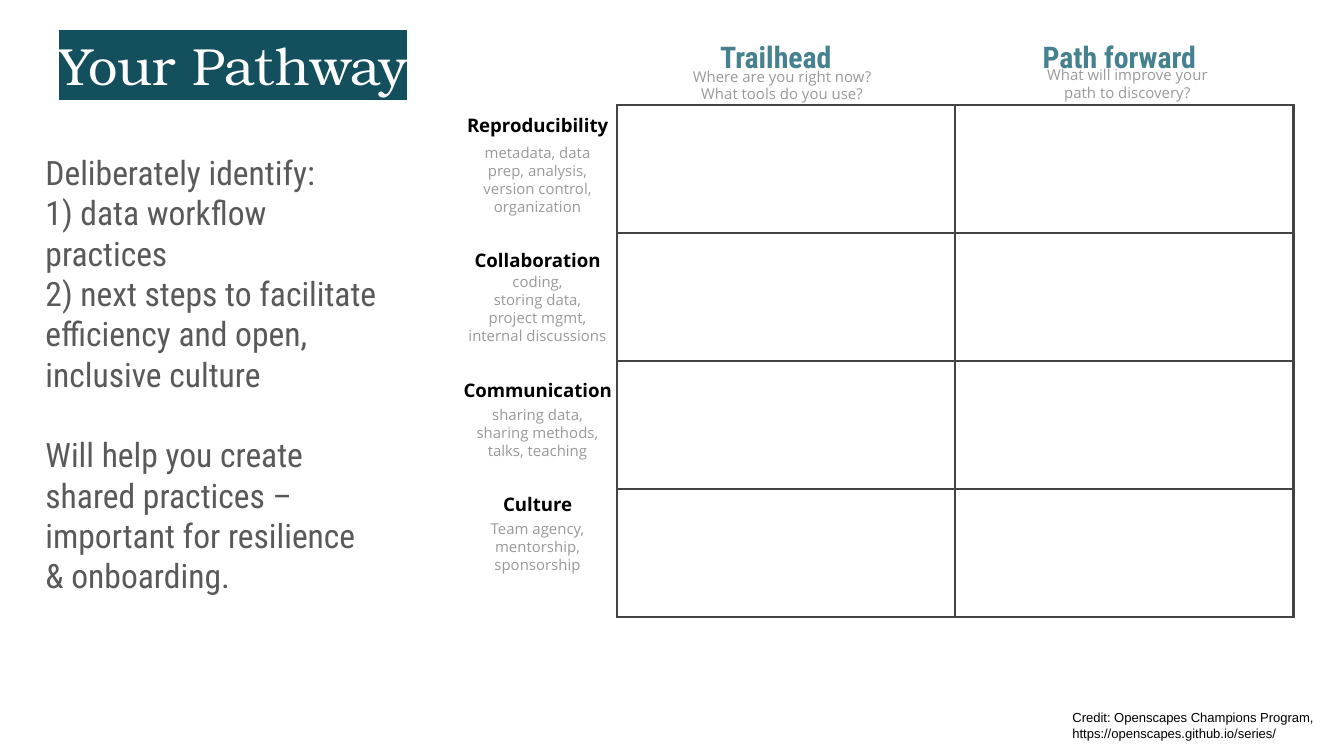
from lxml.etree import SubElement
from pptx import Presentation
from pptx.dml.color import RGBColor
from pptx.enum.text import MSO_ANCHOR, MSO_AUTO_SIZE, PP_ALIGN as Align
from pptx.oxml.ns import qn
from pptx.util import Pt

TEAL = RGBColor(0x13, 0x4F, 0x5C)
HEADING = RGBColor(0x45, 0x81, 0x8E)
BODY = RGBColor(0x59, 0x59, 0x59)
HINT = RGBColor(0x99, 0x99, 0x99)
BORDER = RGBColor(0x43, 0x43, 0x43)
BLACK = RGBColor(0, 0, 0)
WHITE = RGBColor(0xFF, 0xFF, 0xFF)

INTRODUCTION = [
    "Deliberately identify:",
    "1) data workflow practices",
    "2) next steps to facilitate efficiency and open, inclusive culture",
    "Will help you create shared practices – important for resilience & onboarding.",
]
COLUMNS = [
    ("Trailhead", (378.7, 13.7, 81, 38),
     "Where are you right now? What tools do you use?", (363.6, 28.8, 110.9, 20)),
    ("Path forward", (551.5, 13.7, 111, 38),
     "What will improve your path to discovery?", (548.6, 28.1, 110.9, 20)),
]
ROWS = [
    ("Reproducibility", 54, 69.8,
     ["metadata, data prep, analysis, version control, organization"]),
    ("Collaboration", 126, 139,
     ["coding,", "storing data,", "project mgmt,", "internal discussions"]),
    ("Communication", 195.8, 210.2,
     ["sharing data,", "sharing methods,", "talks, teaching"]),
    ("Culture", 257, 271.4,
     ["Team agency,", "mentorship, sponsorship"]),
]


def place(shape, box):
    shape.left, shape.top, shape.width, shape.height = map(Pt, box)


def write(shape, lines, size, font, color, bold=False, align=Align.LEFT, margin=7.2):
    frame = shape.text_frame
    frame.word_wrap = True
    frame.auto_size = MSO_AUTO_SIZE.NONE
    frame.vertical_anchor = MSO_ANCHOR.TOP
    frame.margin_left = frame.margin_right = Pt(7.2)
    frame.margin_top = frame.margin_bottom = Pt(margin)
    for index, line in enumerate(lines):
        paragraph = frame.add_paragraph() if index else frame.paragraphs[0]
        paragraph.alignment = align
        run = paragraph.add_run()
        run.text = line
        run.font.size = Pt(size)
        run.font.bold = bold
        run.font.color.rgb = color
        run.font.name = font
    return frame


def add_text(slide, box, lines, size, font, color, **style):
    shape = slide.shapes.add_textbox(*map(Pt, box))
    write(shape, lines, size, font, color, **style)
    return shape


def add_title(slide, box):
    title = slide.shapes.title
    place(title, box)
    frame = write(title, ["Your Pathway"], 28, "TeX Gyre Bonum", WHITE)
    properties = frame.paragraphs[0].runs[0].font._element
    highlight = properties.makeelement(qn("a:highlight"), {})
    SubElement(highlight, qn("a:srgbClr"), val=str(TEAL))
    properties.find(qn("a:solidFill")).addnext(highlight)


def add_introduction(slide, box):
    shape = add_text(slide, box, INTRODUCTION, 18, "Roboto Condensed", BODY)
    shape.text_frame.paragraphs[-1].space_before = Pt(21.6)


def add_column_headings(slide):
    for heading, heading_box, hint, hint_box in COLUMNS:
        add_text(slide, heading_box, [heading], 16, "Roboto Condensed", HEADING, bold=True)
        add_text(slide, hint_box, [hint], 8, "Open Sans", HINT, align=Align.CENTER)


def add_row_labels(slide, center):
    for label, label_top, hint_top, hints in ROWS:
        shape = add_text(slide, (center - 52.6, label_top, 105.2, 24.5), [label],
                         10, "Open Sans", BLACK, bold=True, align=Align.CENTER)
        shape.rotation = 359.9
        add_text(slide, (center - 45.4, hint_top, 90.8, 60), hints,
                 8, "Open Sans", HINT, align=Align.CENTER)


def add_grid(slide, box):
    table = slide.shapes.add_table(len(ROWS), len(COLUMNS), *map(Pt, box)).table
    table.first_row = table.horz_banding = False
    for column in table.columns:
        column.width = Pt(box[2] / len(COLUMNS))
    for row in table.rows:
        row.height = Pt(box[3] / len(ROWS))
    for cell in table.iter_cells():
        properties = cell._tc.get_or_add_tcPr()
        for side in ("a:lnL", "a:lnR", "a:lnT", "a:lnB"):
            line = SubElement(properties, qn(side), w=str(Pt(1.5)))
            fill = SubElement(line, qn("a:solidFill"))
            SubElement(fill, qn("a:srgbClr"), val=str(BORDER))
        cell.fill.background()


def add_credit(slide, box):
    add_text(slide, box,
             ["Credit: Openscapes Champions Program, https://openscapes.github.io/series/"],
             7, "Arial", BLACK, margin=3.6)


def main():
    presentation = Presentation()
    presentation.slide_width, presentation.slide_height = Pt(720), Pt(405)
    slide = presentation.slides.add_slide(presentation.slide_layouts[5])
    add_introduction(slide, (17.3, 74.2, 192.2, 126))
    add_title(slide, (24.5, 10.8, 224, 45.4))
    add_grid(slide, (330.5, 56.2, 362.4, 274.4))
    add_column_headings(slide)
    add_row_labels(slide, 288)
    add_credit(slide, (567.4, 376.6, 152.6, 24.5))
    presentation.save("out.pptx")


if __name__ == "__main__":
    main()
